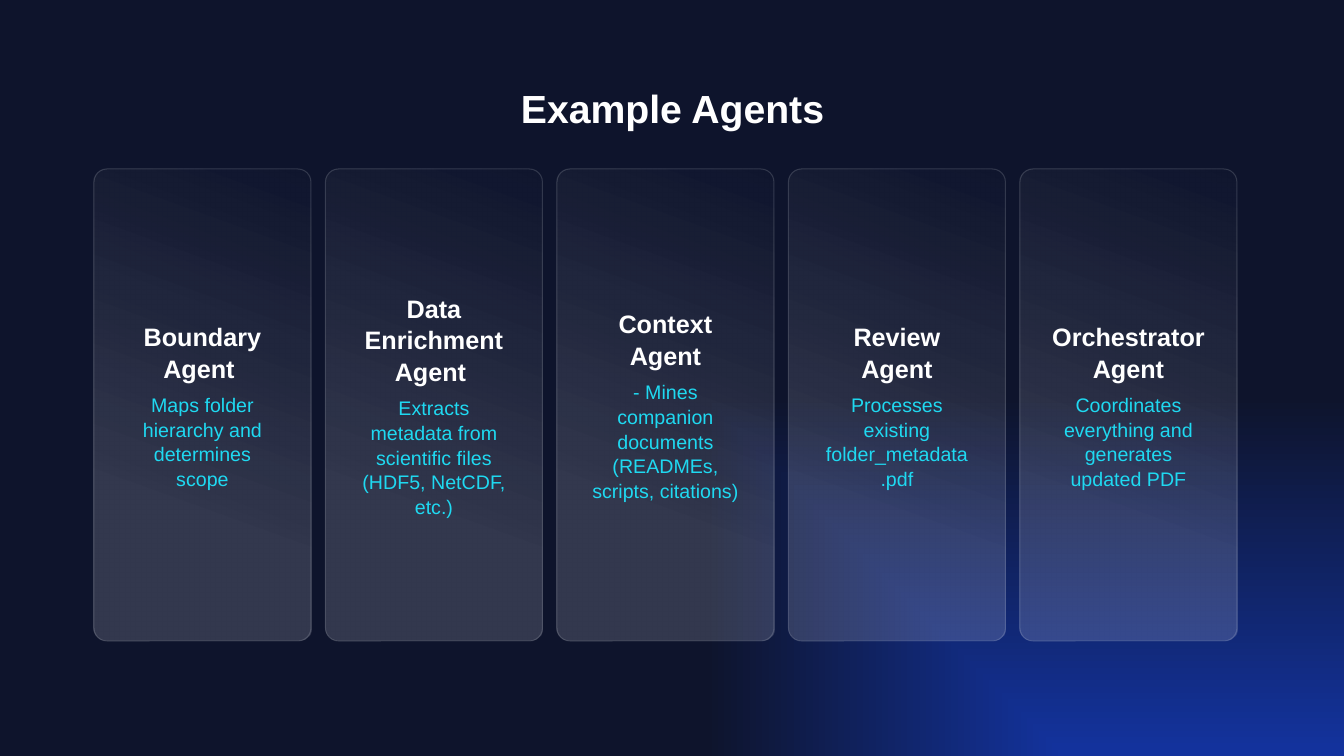
from lxml import etree
from pptx import Presentation
from pptx.dml.color import RGBColor
from pptx.enum.shapes import MSO_SHAPE as Shape
from pptx.enum.text import MSO_ANCHOR as Anchor, PP_ALIGN as Align
from pptx.oxml import parse_xml
from pptx.oxml.ns import nsdecls, qn
from pptx.util import Emu, Pt

SLIDE_WIDTH, SLIDE_HEIGHT = 1344, 756
EMU_PER_PX = 12192000 / SLIDE_WIDTH

NAVY = RGBColor(0x0E, 0x14, 0x2C)
BLUE = RGBColor(0x13, 0x33, 0x9E)
GLASS = RGBColor(0xE3, 0xE3, 0xEE)
EDGE = RGBColor(0xF9, 0xFE, 0xFE)
WHITE = RGBColor(0xFF, 0xFF, 0xFF)
CYAN = RGBColor(0x1F, 0xD9, 0xF1)

CARD_LEFT, CARD_TOP, CARD_WIDTH, CARD_HEIGHT = 94, 169, 217, 472
LAST_CARD_LEFT = 1020

# Name, task, text width, text height
AGENTS = [
    ("Boundary Agent ", "Maps folder hierarchy and determines scope", 167, 174),
    ("Data Enrichment Agent ",
     "Extracts metadata from scientific files (HDF5, NetCDF, etc.)", 167, 229),
    ("Context Agent",
     "- Mines companion documents (READMEs, scripts, citations)", 167, 199),
    ("Review Agent", "Processes existing folder_metadata.pdf", 167, 174),
    ("Orchestrator Agent",
     "Coordinates everything and generates updated PDF", 179, 174),
]


def px(length):
    return Emu(round(length * EMU_PER_PX))


def box(left, top, width, height):
    return [px(length) for length in (left, top, width, height)]


def set_gradient(shape, stops, direction):
    """Fill with stops of (percent, colour, opacity percent)."""
    stop_xml = "".join(
        f'<a:gs pos="{position * 1000}"><a:srgbClr val="{color}">'
        f'<a:alpha val="{opacity * 1000}"/></a:srgbClr></a:gs>'
        for position, color, opacity in stops)
    gradient = parse_xml(f'<a:gradFill {nsdecls("a")} rotWithShape="1">'
                         f'<a:gsLst>{stop_xml}</a:gsLst>{direction}</a:gradFill>')
    shape.fill.background()
    properties = shape.fill._xPr
    properties.replace(properties.find(qn("a:noFill")), gradient)


def write(paragraph, text, size, color=WHITE, bold=False, space_after=6,
          line_spacing=1.05):
    paragraph.text = text
    paragraph.alignment = Align.CENTER
    paragraph.space_before = Pt(0)
    paragraph.space_after = Pt(space_after)
    paragraph.line_spacing = line_spacing
    font = paragraph.runs[0].font
    font.name = "Arial"
    font.size = Pt(size)
    font.bold = bold
    font.color.rgb = color


def add_glow(slide):
    glow = slide.shapes.add_shape(Shape.RECTANGLE,
                                  *box(0, 0, SLIDE_WIDTH, SLIDE_HEIGHT))
    glow.shadow.inherit = False
    glow.line.fill.background()
    set_gradient(glow, [(0, BLUE, 100), (95, NAVY, 100)],
                 '<a:path path="rect"><a:fillToRect l="100000" t="100000"/></a:path>')


def add_card(slide, left):
    card = slide.shapes.add_shape(Shape.ROUNDED_RECTANGLE,
                                  *box(left, CARD_TOP, CARD_WIDTH, CARD_HEIGHT))
    card.adjustments[0] = 0.06
    card.shadow.inherit = False
    set_gradient(card, [(30, GLASS, 17), (100, GLASS, 0)],
                 f'<a:lin ang="{290 * 60000}" scaled="0"/>')
    card.line.color.rgb = EDGE
    card.line.width = Pt(0.75)
    edge_color = card.line._ln.find(".//" + qn("a:srgbClr"))
    etree.SubElement(edge_color, qn("a:alpha")).set("val", "15000")


def add_agent_text(slide, center, name, task, width, height):
    middle = CARD_TOP + CARD_HEIGHT / 2
    text_box = slide.shapes.add_textbox(
        *box(center - width / 2, middle - height / 2, width, height))
    frame = text_box.text_frame
    frame.word_wrap = True
    frame.vertical_anchor = Anchor.MIDDLE
    write(frame.paragraphs[0], name, size=18, bold=True)
    write(frame.add_paragraph(), task, size=14, color=CYAN)


def set_title(slide, text):
    title = slide.shapes.title
    title.left, title.top, title.width, title.height = box(85, 76, 1175, 44)
    frame = title.text_frame
    frame.margin_top = px(8)
    frame.margin_bottom = 0
    frame.vertical_anchor = Anchor.TOP
    write(frame.paragraphs[0], text, size=28, bold=True, line_spacing=1.0)


def main():
    presentation = Presentation()
    presentation.slide_width = px(SLIDE_WIDTH)
    presentation.slide_height = px(SLIDE_HEIGHT)
    slide = presentation.slides.add_slide(presentation.slide_layouts[5])

    # Background, with the title brought in front of the glow
    slide.background.fill.solid()
    slide.background.fill.fore_color.rgb = NAVY
    add_glow(slide)
    slide.shapes._spTree.append(slide.shapes.title._element)
    set_title(slide, "Example Agents")

    # Evenly spaced agent cards
    pitch = (LAST_CARD_LEFT - CARD_LEFT) / (len(AGENTS) - 1)
    for index, agent in enumerate(AGENTS):
        left = CARD_LEFT + index * pitch
        add_card(slide, left)
        add_agent_text(slide, left + CARD_WIDTH / 2, *agent)

    presentation.save("out.pptx")


if __name__ == "__main__":
    main()
